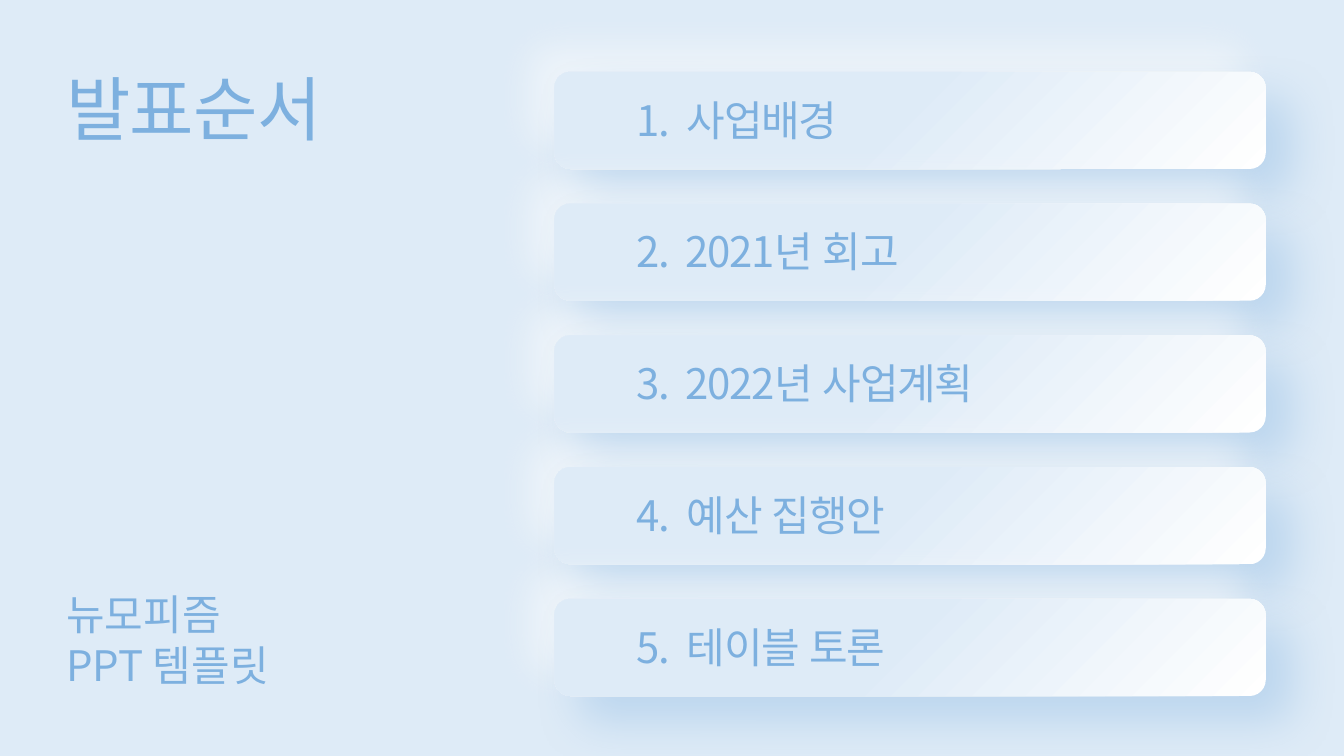
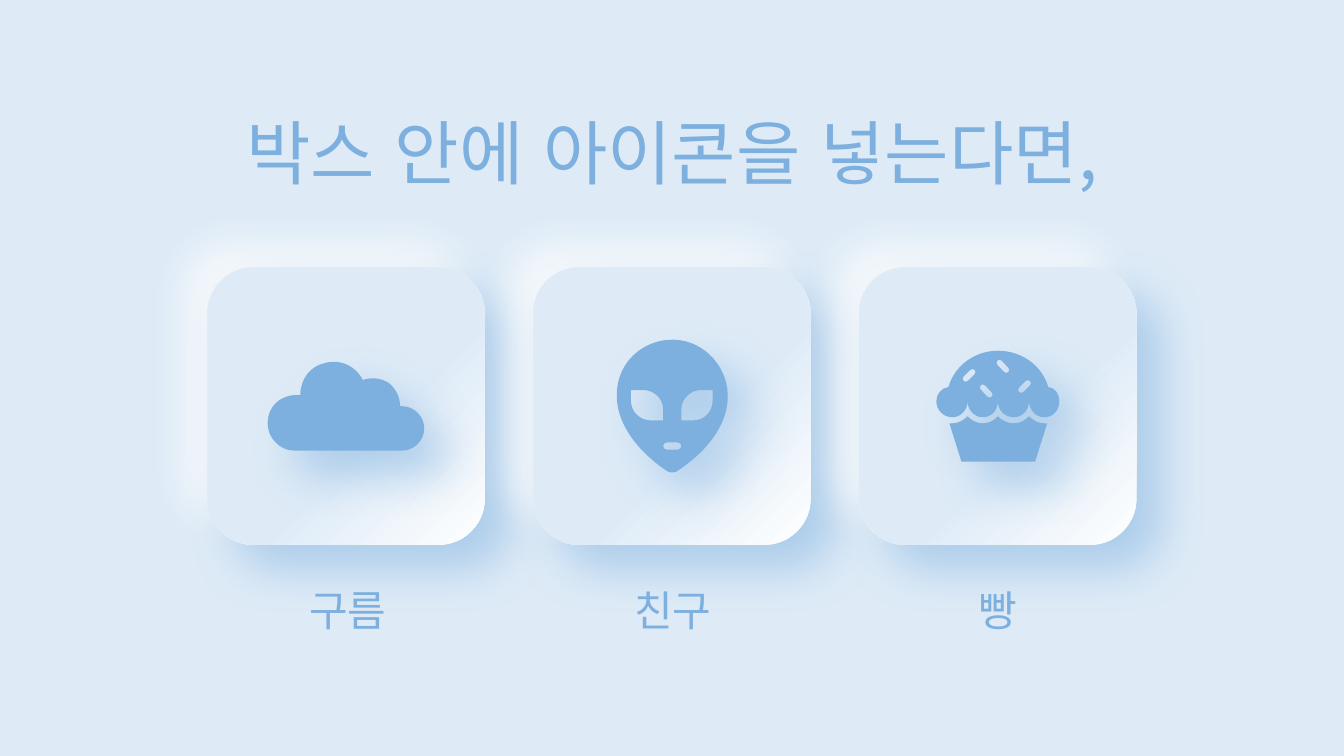
from math import hypot

from lxml.etree import SubElement
from pptx import Presentation
from pptx.dml.color import RGBColor
from pptx.enum.shapes import MSO_SHAPE as Shape
from pptx.enum.text import MSO_ANCHOR as Anchor, PP_ALIGN as Align
from pptx.oxml.ns import qn
from pptx.util import Cm, Pt

FONT = "Noto Sans CJK KR"
BLUE, PALE, WHITE = "7DB0DF", "DEEBF7", "FFFFFF"
WIDTH, HEIGHT = 33.87, 19.05
UNIT = Cm(2.54) / 100

AGENDA = ["1.  사업배경", "2.  2021년 회고", "3.  2022년 사업계획", "4.  예산 집행안", "5.  테이블 토론"]


def color(value):
    return RGBColor.from_string(value)


def outline(text):
    return [[float(number) for number in segment.split()] for segment in text.split(",")]


def capsule(x, y, dx, dy, radius):
    length = hypot(dx, dy)
    along, across = dx / length * radius, dy / length * radius
    segments = []
    for side in (1, -1):
        center_x, center_y = x + side * dx, y + side * dy
        start = [center_x + side * across, center_y - side * along]
        end = [center_x - side * across, center_y + side * along]
        bulge = [side * along * 4 / 3, side * across * 4 / 3]
        controls = [start[0] + bulge[0], start[1] + bulge[1], end[0] + bulge[0], end[1] + bulge[1]]
        segments += [start, controls + end]
    return segments


CLOUD = [((266, 359, 422, 448), [outline(
    "399 403, 399 403 398 403 397 403, 397 394 393 386 386 380, 378 375 369 374 360 377, "
    "353 363 338 356 323 360, 308 363 298 376 298 392, 287 391 277 395 271 403, "
    "265 411 264 422 268 431, 273 441 282 447 292 447, 399 447, "
    "411 447 421 437 421 425, 421 413 411 403 399 403")])]

ALIEN = [((612, 337, 723, 469), [
    outline("669 337, 638 336 612 360 612 391, 612 391 612 392 612 393, 612 431 650 460 663 468, "
            "665 469 668 469 671 468, 683 460 719 435 722 397, 724 366 700 338 669 337"),
    outline("626 398, 626 387, 639 387, 649 387 658 396 658 406, 658 417, 645 417, 635 417 626 408 626 398"),
    outline("707 398, 707 408 699 417 688 417, 676 417, 676 406, 676 396 685 387 695 387, 707 387"),
    capsule(667, 442.5, 5.5, 0, 3.5),
])]

CUPCAKE = [
    ((942, 413, 1039, 458), [outline(
        "1021 413, 1017 417 1012 420 1006 420, 1000 420 994 417 990 413, 987 417 981 420 975 420, "
        "969 420 964 417 960 413, 956 417 951 420 945 420, 944 420 943 420 942 420, 954 458, "
        "1027 458, 1039 420, 1038 420 1037 420 1036 420, 1030 420 1025 417 1021 413")]),
    ((929, 348, 1051, 414), [
        capsule(1016.5, 383.5, 3.3, -3.3, 3),
        capsule(995, 363.5, 3.3, 3.5, 3),
        capsule(978.5, 388, 3.3, 3.5, 3),
        capsule(961.5, 372.5, 3.3, -3.3, 3),
        outline("1040 384, 1034 363 1014 348 990 348, 967 348 947 363 941 384, 934 385 929 391 929 398, "
                "929 407 936 414 945 414, 953 414 960 407 960 398, 960 407 967 414 975 414, "
                "984 414 990 407 990 398, 990 407 997 414 1006 414, 1014 414 1021 407 1021 398, "
                "1021 407 1028 414 1036 414, 1045 414 1051 407 1051 398, 1051 391 1047 385 1040 384"),
    ]),
]

ICON_BOXES = [("구름", CLOUD), ("친구", ALIEN), ("빵", CUPCAKE)]


class Deck:
    def __init__(self):
        self.presentation = Presentation()
        self.presentation.slide_width = Cm(WIDTH)
        self.presentation.slide_height = Cm(HEIGHT)
        self.slide = None
        self.shapes = None

    def add_slide(self):
        self.slide = self.presentation.slides.add_slide(self.presentation.slide_layouts[6])
        self.shapes = self.slide.shapes

    def master_backdrop(self):
        backdrop = self.shapes.add_shape(Shape.RECTANGLE, 0, 0, Cm(WIDTH), Cm(HEIGHT))
        self.paint(backdrop, PALE)
        backdrop.shadow.inherit = False
        master_tree = self.presentation.slide_master.shapes._spTree
        master_tree.insert(2, backdrop._element)

    def open_group(self):
        self.shapes = self.slide.shapes.add_group_shape().shapes

    def close_group(self):
        self.shapes = self.slide.shapes

    def text(self, box, lines, size=30, align=Align.LEFT, anchor=Anchor.MIDDLE, spacing=-0.9, line_spacing=None):
        frame = self.shapes.add_textbox(*map(Cm, box)).text_frame
        frame.word_wrap = False
        frame.vertical_anchor = anchor
        frame.text = "\n".join(lines)
        for paragraph in frame.paragraphs:
            paragraph.alignment = align
            if line_spacing:
                paragraph.line_spacing = line_spacing
            paragraph.font.size = Pt(size)
            paragraph.font.name = FONT
            paragraph.font.color.rgb = color(BLUE)
            for run in paragraph.runs:
                properties = run.font._element
                properties.set("lang", "ko-KR")
                properties.set("spc", str(round(spacing * 100)))
                for script in ("a:latin", "a:ea"):
                    SubElement(properties, qn(script), typeface=FONT)

    def shadow(self, shape, tone, opacity, blur, angle):
        shape.shadow.inherit = False
        effects = shape._element.spPr.find(qn("a:effectLst"))
        outer = SubElement(effects, qn("a:outerShdw"), blurRad=str(Pt(blur)), dist=str(Pt(25)),
                           dir=str(angle * 60000), rotWithShape="0")
        tint = SubElement(outer, qn("a:srgbClr"), val=tone)
        SubElement(tint, qn("a:alpha"), val=str(opacity * 1000))

    def paint(self, shape, tone):
        shape.fill.solid()
        shape.fill.fore_color.rgb = color(tone)
        shape.line.fill.background()

    def raised_card(self, box, light, shade, fade):
        for tone, opacity, blur, angle in ((WHITE, light, 28, 225), (BLUE, shade, 33, 45)):
            card = self.shapes.add_shape(Shape.ROUNDED_RECTANGLE, *map(Cm, box))
            self.paint(card, PALE)
            self.shadow(card, tone, opacity, blur, angle)
        card.fill.gradient()
        card.fill.gradient_angle = 135
        for stop, tone, position in zip(card.fill.gradient_stops, (WHITE, PALE), (0, fade)):
            stop.color.rgb = color(tone)
            stop.position = position

    def curved_shape(self, bounds, contours):
        left, top, right, bottom = bounds
        builder = self.shapes.build_freeform(left, top, scale=UNIT)
        builder.add_line_segments([(right, bottom)], close=True)
        shape = builder.convert_to_shape()
        curves = next(shape._element.iter(qn("a:path")))
        curves.set("w", str(round((right - left) * UNIT)))
        curves.set("h", str(round((bottom - top) * UNIT)))
        for step in list(curves):
            curves.remove(step)
        for contour in contours:
            for index, segment in enumerate(contour):
                tag = "a:moveTo" if index == 0 else "a:lnTo" if len(segment) == 2 else "a:cubicBezTo"
                step = SubElement(curves, qn(tag))
                for x, y in zip(segment[::2], segment[1::2]):
                    SubElement(step, qn("a:pt"), x=str(round((x - left) * UNIT)), y=str(round((y - top) * UNIT)))
            SubElement(curves, qn("a:close"))
        self.paint(shape, BLUE)
        self.shadow(shape, BLUE, 50, 33, 45)


def agenda_slide(deck):
    deck.add_slide()
    deck.master_backdrop()
    deck.text((1.42, 14.71, 6.4, 2.82), ["뉴모피즘", "PPT 템플릿"], anchor=Anchor.TOP, spacing=0)
    deck.text((1.42, 1.52, 9.12, 2.39), ["발표순서"], size=50, anchor=Anchor.TOP, spacing=-0.6)
    for index, item in enumerate(AGENDA):
        top = 1.81 + 3.32 * index
        deck.open_group()
        deck.raised_card((13.97, top, 17.93, 2.45), light=49, shade=35, fade=0.53)
        deck.text((15.8, top + 0.47, 14.25, 1.45), [item])
        deck.close_group()


def icon_slide(deck):
    deck.add_slide()
    deck.text((5.28, 2.87, 23.32, 2.18), ["박스 안에 아이콘을 넣는다면,"], size=50,
              align=Align.CENTER, spacing=0, line_spacing=0.9)
    for index, (label, parts) in enumerate(ICON_BOXES):
        deck.text((6.76 + 8.19 * index, 14.73, 4.01, 1.27), [label], align=Align.CENTER)
        deck.open_group()
        deck.raised_card((5.23 + 8.21 * index, 6.74, 6.99, 6.99), light=70, shade=50, fade=0.41)
        for bounds, contours in parts:
            deck.curved_shape(bounds, contours)
        deck.close_group()


def main():
    deck = Deck()
    agenda_slide(deck)
    icon_slide(deck)
    deck.presentation.save("out.pptx")


if __name__ == "__main__":
    main()
